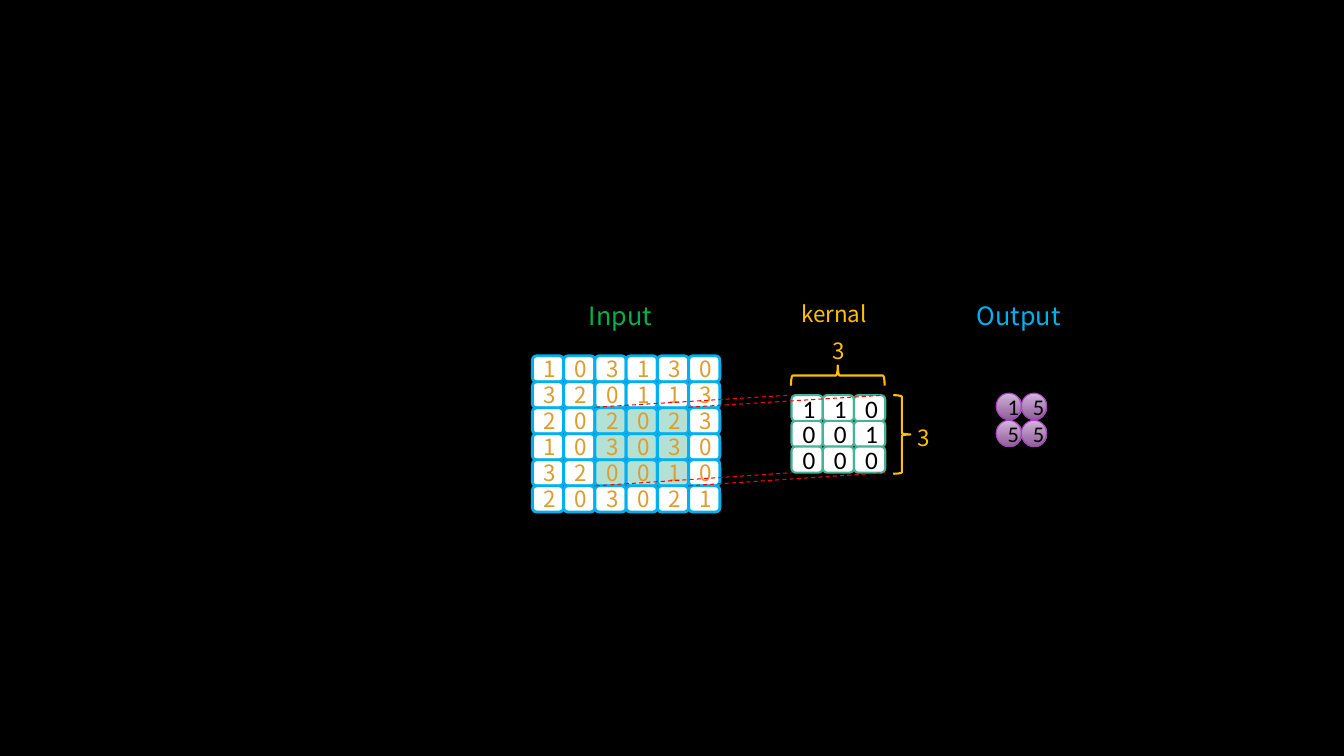
from lxml import etree
from pptx import Presentation
from pptx.dml.color import RGBColor
from pptx.enum import dml, shapes, text
from pptx.oxml import ns
from pptx.util import Inches, Pt

COLORS = {
    "black": "000000", "white": "FFFFFF", "blue": "00B0F0", "teal": "46B298",
    "mint": "B4E1D6", "purple": "AC3EC1", "gold": "FFC000", "green": "00B050",
    "red": "FF0000",
}
# Gradient stops: position, colour and opacity, all but colour in percent
DIGIT_STOPS = [(0, "745013", 100), (50, "DD9D31", 100), (100, "EBC483", 100)]
OUTPUT_STOPS = [(0, "D8B7E1", 100), (100, "BF82CE", 74)]
CJK = "Noto Sans CJK SC"

INPUT = ["103130", "320113", "202023", "103030", "320010", "203021"]
KERNEL = ["110", "001", "000"]
OUTPUT = ["15", "55"]
WINDOW = {(row, col) for row in (2, 3, 4) for col in (2, 3, 4)}

INPUT_STYLE = {"preset": shapes.MSO_SHAPE.ROUNDED_RECTANGLE, "fill": "white", "line": "blue",
               "weight": 2, "font": {"name": CJK, "size": Pt(16)}, "color": DIGIT_STOPS}
KERNEL_STYLE = {"preset": shapes.MSO_SHAPE.ROUNDED_RECTANGLE, "fill": "white", "line": "teal",
                "weight": 1.5, "font": {"name": "Calibri", "size": Pt(18)}, "color": "black"}
OUTPUT_STYLE = {"preset": shapes.MSO_SHAPE.OVAL, "fill": OUTPUT_STOPS, "line": "purple",
                "weight": 0.75, "font": {"name": "Calibri", "size": Pt(16)}, "color": "black"}


def rgb(name):
    return RGBColor.from_string(COLORS[name])


def set_fill(fill, properties, paint):
    """Fill with a named colour, or with a downward gradient if given stops."""
    if isinstance(paint, str):
        fill.solid()
        fill.fore_color.rgb = rgb(paint)
        return
    fill.gradient()
    gradient = properties.find(ns.qn("a:gradFill"))
    gradient.find(ns.qn("a:lin")).set("ang", str(90 * 60000))
    stop_list = gradient.find(ns.qn("a:gsLst"))
    for stop in list(stop_list):
        stop_list.remove(stop)
    for position, color, opacity in paint:
        stop = etree.SubElement(stop_list, ns.qn("a:gs"), pos=str(position * 1000))
        value = etree.SubElement(stop, ns.qn("a:srgbClr"), val=color)
        if opacity < 100:
            etree.SubElement(value, ns.qn("a:alpha"), val=str(opacity * 1000))


def write(frame, words, font, color):
    run = frame.paragraphs[0].add_run()
    run.text = words
    for attribute, value in font.items():
        setattr(run.font, attribute, value)
    set_fill(run.font.fill, run.font._element, color)


def add_outline(slide, preset, box, line, weight):
    shape = slide.shapes.add_shape(preset, *map(Inches, box))
    shape.shadow.inherit = False
    shape.line.color.rgb = rgb(line)
    shape.line.width = Pt(weight)
    return shape


def add_cell(slide, digit, box, style, fill):
    cell = add_outline(slide, style["preset"], box, style["line"], style["weight"])
    set_fill(cell.fill, cell._element.spPr, fill)
    cell.text_frame.vertical_anchor = text.MSO_ANCHOR.MIDDLE
    cell.text_frame.paragraphs[0].alignment = text.PP_ALIGN.CENTER
    write(cell.text_frame, digit, style["font"], style["color"])


def add_matrix(slide, rows, first, last, size, style, window=()):
    """Space cells evenly between the corners of the first and last cell."""
    (left, top), (right, bottom) = first, last
    steps = len(rows) - 1
    for row, digits in enumerate(rows):
        for col, digit in enumerate(digits):
            x = left + (right - left) * col / steps
            y = top + (bottom - top) * row / steps
            fill = "mint" if (row, col) in window else style["fill"]
            add_cell(slide, digit, (x, y, *size), style, fill)


def add_brace(slide, box, rotation=0):
    brace = add_outline(slide, shapes.MSO_SHAPE.RIGHT_BRACE, box, "gold", 1.5)
    brace.fill.background()
    brace.rotation = rotation


def add_projection(slide, start, end):
    line = slide.shapes.add_connector(
        shapes.MSO_CONNECTOR.STRAIGHT, *map(Inches, (*start, *end)))
    line.line.color.rgb = rgb("red")
    line.line.width = Pt(0.75)
    line.line.dash_style = dml.MSO_LINE.DASH
    etree.SubElement(line._element.spPr, ns.qn("a:effectLst"))


def add_label(slide, words, box, size, color, wrap=True):
    frame = slide.shapes.add_textbox(*map(Inches, box)).text_frame
    frame.word_wrap = wrap
    frame.auto_size = text.MSO_AUTO_SIZE.SHAPE_TO_FIT_TEXT
    write(frame, words, {"name": CJK, "size": Pt(size)}, color)


def main():
    deck = Presentation()
    deck.slide_width, deck.slide_height = Inches(13.33), Inches(7.5)
    slide = deck.slides.add_slide(deck.slide_layouts[6])
    set_fill(slide.background.fill, None, "black")

    add_matrix(slide, INPUT, (5.28, 3.53), (6.83, 4.82), (0.31, 0.26), INPUT_STYLE, WINDOW)
    add_matrix(slide, KERNEL, (7.85, 3.92), (8.47, 4.43), (0.31, 0.26), KERNEL_STYLE)
    for window_y, kernel_y in ((4.04, 3.92), (4.82, 4.69)):
        for window_x, kernel_x in ((5.91, 7.85), (6.83, 8.78)):
            add_projection(slide, (window_x, window_y), (kernel_x, kernel_y))

    add_label(slide, "Input", (5.74, 2.93, 0.84, 0.4), 18, "green", wrap=False)
    add_label(slide, "kernal", (7.85, 2.93, 0.93, 0.37), 16, "gold")
    add_label(slide, "Output", (9.59, 2.93, 1.07, 0.4), 18, "blue", wrap=False)
    add_matrix(slide, OUTPUT, (9.88, 3.9), (10.13, 4.17), (0.25, 0.26), OUTPUT_STYLE)

    add_brace(slide, (8.86, 3.92, 0.17, 0.78))
    add_label(slide, "3", (9, 4.16, 0.31, 0.37), 16, "gold")
    add_brace(slide, (8.21, 3.26, 0.2, 0.93), rotation=270)
    add_label(slide, "3", (8.16, 3.3, 0.31, 0.37), 16, "gold")
    deck.save("out.pptx")


if __name__ == "__main__":
    main()
